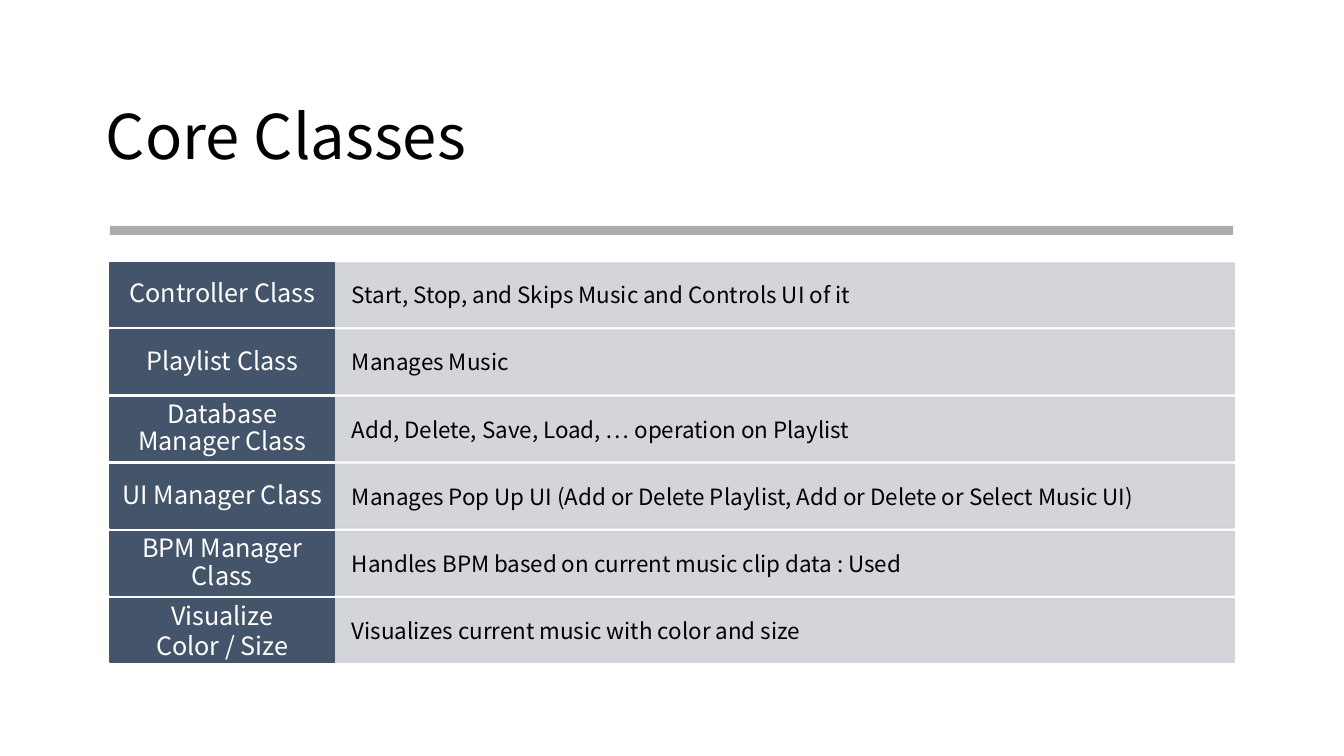
from dataclasses import dataclass

from lxml import etree
from pptx import Presentation
from pptx.dml.color import RGBColor
from pptx.enum.shapes import MSO_SHAPE
from pptx.enum.text import MSO_ANCHOR as Anchor, MSO_AUTO_SIZE as AutoSize, PP_ALIGN as Align
from pptx.oxml.ns import qn
from pptx.util import Inches, Pt


@dataclass(frozen=True)
class Theme:
    font: str = "Noto Sans CJK KR"
    ink: RGBColor = RGBColor(0x00, 0x00, 0x00)
    light: RGBColor = RGBColor(0xFF, 0xFF, 0xFF)
    navy: RGBColor = RGBColor(0x44, 0x54, 0x6A)
    pale: RGBColor = RGBColor(0xCF, 0xD1, 0xD4)
    rule: RGBColor = RGBColor(0x80, 0x80, 0x80)
    title_size: Pt = Pt(44)
    name_size: Pt = Pt(18)
    role_size: Pt = Pt(16)


THEME = Theme()


def add_bar(left, top, width, height, color, opacity=100, outlined=True):
    bar = slide.shapes.add_shape(
        MSO_SHAPE.RECTANGLE, Inches(left), Inches(top), Inches(width), Inches(height))
    bar.shadow.inherit = False
    bar.fill.solid()
    bar.fill.fore_color.rgb = color
    if outlined:
        bar.line.color.rgb = color
        bar.line.width = Pt(1)
    else:
        bar.line.fill.background()
    if opacity < 100:
        for srgb in bar._element.spPr.iter(qn("a:srgbClr")):
            etree.SubElement(srgb, qn("a:alpha"), val=str(opacity * 1000))
    return bar


def write(shape, text, size, color, align, spacing, margins=(0.1, 0.05)):
    frame = shape.text_frame
    frame.text = text
    side, edge = (Inches(margin) for margin in margins)
    frame_format = {
        "word_wrap": True, "auto_size": AutoSize.NONE, "vertical_anchor": Anchor.MIDDLE,
        "margin_left": side, "margin_right": side, "margin_top": edge, "margin_bottom": edge,
    }
    for attribute, value in frame_format.items():
        setattr(frame, attribute, value)
    paragraph = frame.paragraphs[0]
    paragraph.alignment = align
    paragraph.line_spacing = spacing
    for run in paragraph.runs:
        for attribute, value in {"name": THEME.font, "size": size}.items():
            setattr(run.font, attribute, value)
        run.font.color.rgb = color


deck = Presentation()
deck.slide_width, deck.slide_height = Inches(13.33), Inches(7.5)
slide = deck.slides.add_slide(deck.slide_layouts[5])

# Title and the rule beneath it
title = slide.shapes.title
title_box = {"left": 0.95, "top": 0.66, "width": 11.43, "height": 1.45}
for attribute, value in title_box.items():
    setattr(title, attribute, Inches(value))
write(title, "Core Classes", THEME.title_size, THEME.ink, Align.LEFT, 0.9)
add_bar(1.09, 2.24, 11.14, 0.09, THEME.rule, opacity=65, outlined=False)

# Class rows: name, role, line spacing of the name
core_classes = [
    ("Controller Class", "Start, Stop, and Skips Music and Controls UI of it", 0.9),
    ("Playlist Class", "Manages Music", 0.9),
    ("Database Manager Class", "Add, Delete, Save, Load, … operation on Playlist", 0.9),
    ("UI Manager Class",
     "Manages Pop Up UI (Add or Delete Playlist, Add or Delete or Select Music UI)", 0.9),
    ("BPM Manager Class", "Handles BPM based on current music clip data : Used", 0.9),
    ("Visualize\vColor / Size", "Visualizes current music with color and size", 1.0),
]
first_top, last_top, row_height = 2.61, 5.94, 0.63
row_pitch = (last_top - first_top) / (len(core_classes) - 1)
name_left, name_width, role_width = 1.09, 2.23, 8.92

for row, (class_name, role, name_spacing) in enumerate(core_classes):
    top = first_top + row * row_pitch
    role_bar = add_bar(name_left + name_width, top, role_width, row_height, THEME.pale, opacity=90)
    write(role_bar, role, THEME.role_size, THEME.ink, Align.LEFT, 1.0, (0.17, 0.16))
    name_bar = add_bar(name_left, top, name_width, row_height, THEME.navy)
    write(name_bar, class_name, THEME.name_size, THEME.light, Align.CENTER, name_spacing,
          (0.12, 0.06))

deck.save("out.pptx")
